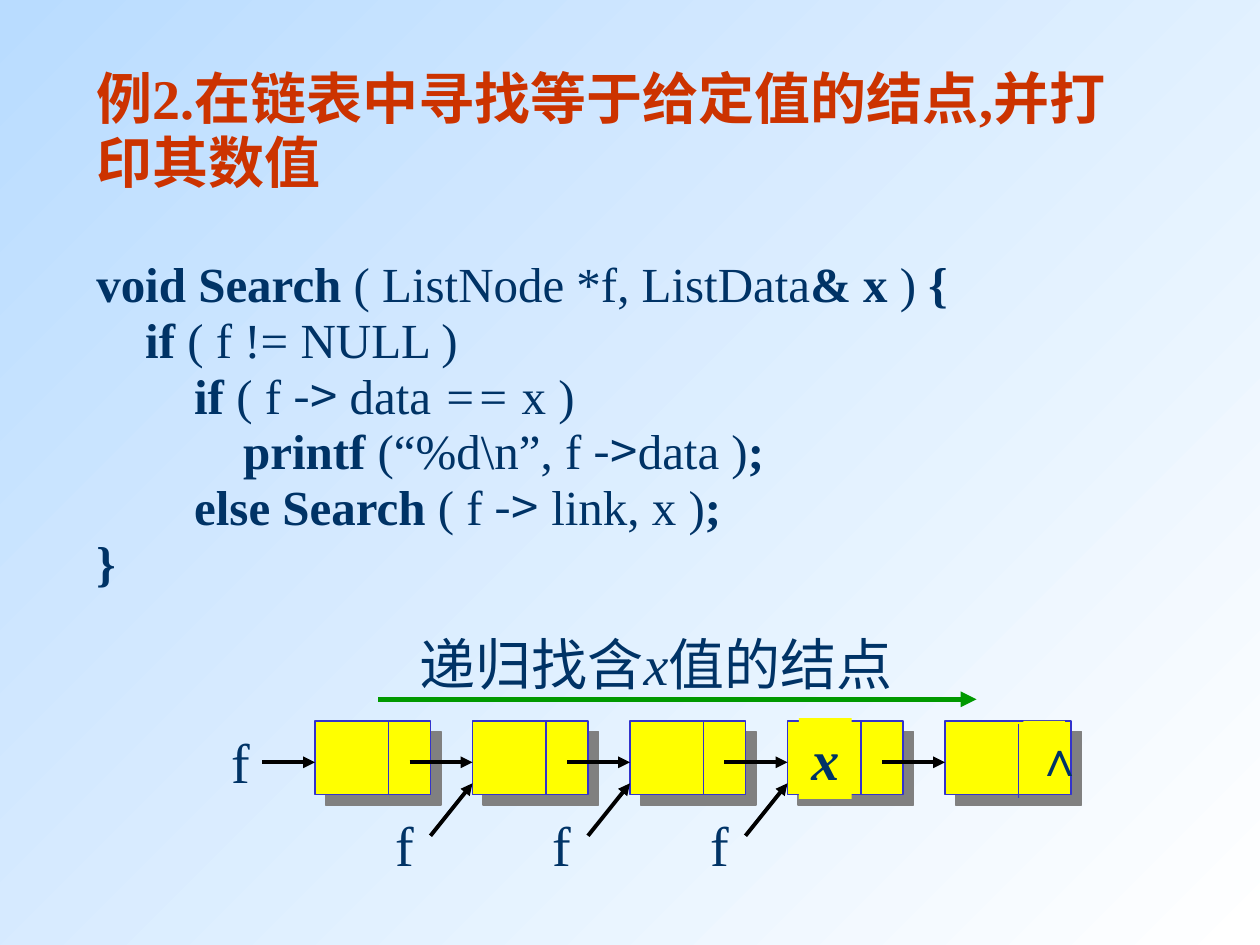
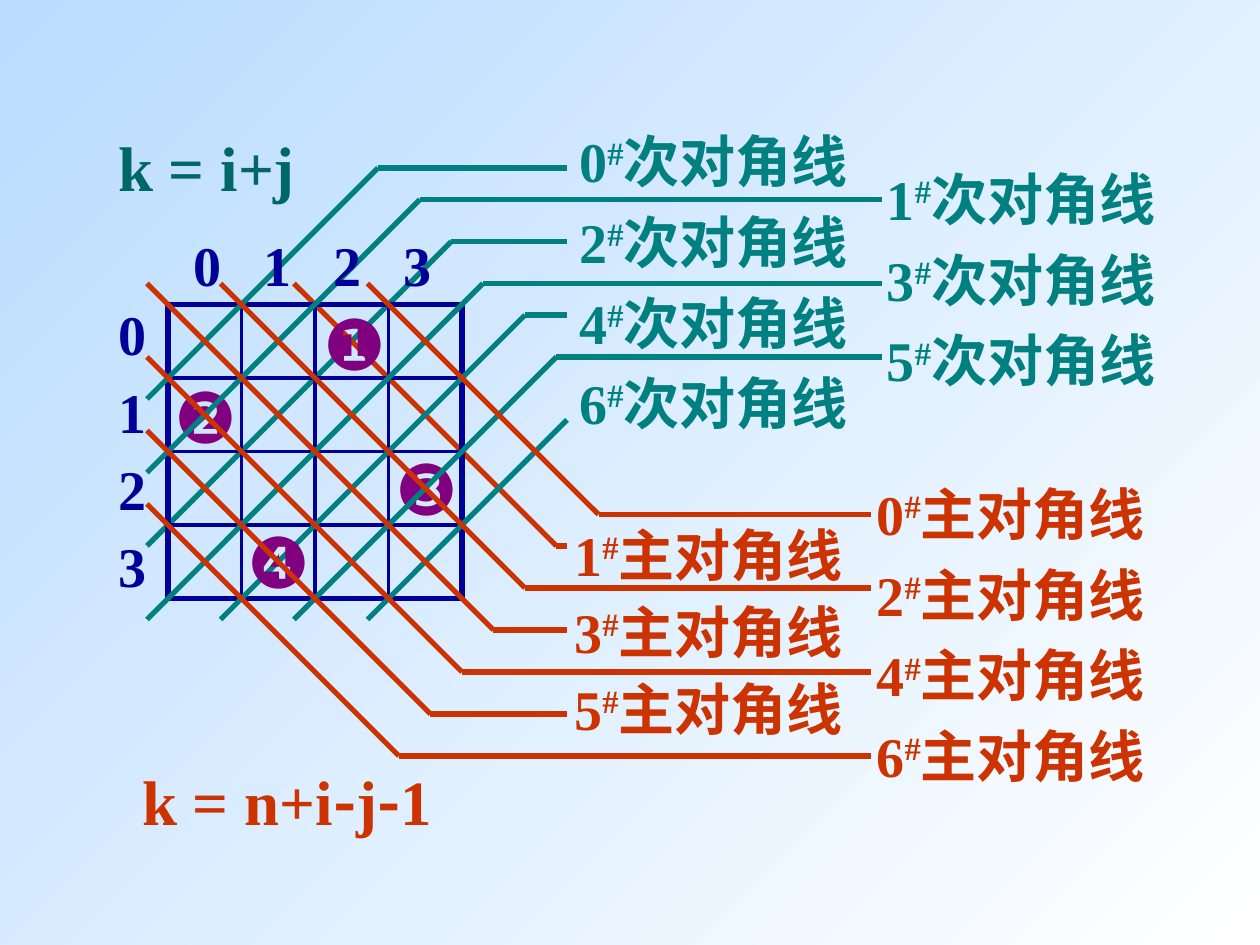
from lxml import etree
from pptx import Presentation, util as u
from pptx.dml import color
from pptx.enum import shapes, text
from pptx.oxml import ns

# Places are counted in twelfths of an inch: (left, top, width, height).
B, I, CJK = {"bold": True}, {"italic": True}, {"name": "Noto Sans CJK SC"}

HEAD = "例2.在链表中寻找等于给定值的结点,并打印其数值"
CODE = [
    [("void Search ", B), ("( ListNode *f, ListData", {}), ("& x", B), (" ) ", {}), ("{", B)],
    [("    if", B), (" ( f != NULL )", {})],
    [("        if", B), (" ( f ", {}), ("->", CJK), (" data ", {}), ("==", I), (" x )", {})],
    [("            printf ", B), ("(“%d\\n”, f ", {}), ("->", CJK), ("data )", {}), (";", B)],
    [("        else Search", B), (" ( f ", {}), ("->", CJK), (" link, x )", {}), (";", B)],
    [("}", B)],
]
GOAL = [("递归找含", {}), ("x", I), ("值的结点", {})]
NODES = [  # width, top of the divider
    (11, 68.67), (11, 68.67), (11, 68.67), (11, 68.67), (12, 69)]

SIZE = 4
QUEENS = [("❶", 29.64, 28), ("❷", 15.48, 35), ("❸", 36.48, 41.8), ("❹", 22.44, 48.8)]
FAMS = {  # bends: height at which line k turns level; ends: x for even, odd k
    "sec": {"word": "次对角线", "tint": "teal", "bends": [16, 19, 23, 27, 30, 34, 40],
            "ends": (54, 84), "slope": -1, "back": {2: 0, 4: 1},
            "lists": [((54, 10.2, 29.28, 31.92), 1.2), ((83.28, 13.8, 29.28, 24.24), 1.2)]},
    "main": {"word": "主对角线", "tint": "red", "bends": [49, 52, 56, 60, 64, 68, 72],
             "ends": (83, 54), "slope": 1, "back": {1: 0},
             "lists": [((82.32, 43.8, 29.28, 31.92), 1.2), ((53.52, 48, 29.28, 23.28), 1.15)]},
}
RULES = [
    ((10.08, 11.64, 19.2, 8.4), "pine", [("k = i+j", {})]),
    ((12.36, 72, 32.76, 8.4), "red",
     [("k = n+i", {}), ("-", CJK), ("j", {}), ("-", CJK), ("1", {})]),
]

THEME = {
    "tint": {"sky": "B9DCFF", "white": "FFFFFF", "red": "CC3300", "ink": "003366",
             "yellow": "FFFF00", "edge": "3333CC", "black": "000000", "green": "009900",
             "teal": "008080", "grid": "000099", "plum": "800080", "pine": "006666",
             "shade": "808080"},
    "size": {"code": 28, "text": 32, "rule": 36, "queen": 40},
    "face": "Times New Roman",
    "sign": "Arial",
}


def cm(n):
    """Turn twelfths of an inch into a length."""
    return u.Cm(n * 2.54 / 12)


def rgb(tint):
    return color.RGBColor.from_string(THEME["tint"][tint])


def page(deck):
    """Add a blank slide with the shared gradient."""
    slide = deck.slides.add_slide(deck.slide_layouts[6])
    fill = slide.background.fill
    fill.gradient()
    fill.gradient_angle = 315
    for stop, tint in zip(fill.gradient_stops, ("sky", "white")):
        stop.color.rgb = rgb(tint)
    return slide


def put(para, runs, tint="ink", size="text", **form):
    """Fill a paragraph with (text, format) runs over a base format."""
    base = {"name": THEME["face"], "size": u.Pt(THEME["size"][size]),
            "bold": False, "italic": False, **form}
    for words, extra in runs:
        run = para.add_run()
        run.text = words
        form = {**base, **extra}
        lift = form.pop("lift", None)
        for key, val in form.items():
            setattr(run.font, key, val)
        run.font.color.rgb = rgb(tint)
        props = run._r.get_or_add_rPr()
        if lift:
            props.set("baseline", str(lift * 1000))
        etree.SubElement(props, ns.qn("a:ea"), typeface=CJK["name"])


def label(slide, place, paras, gap=None, fill=None, **form):
    """Add a text box that fits its unwrapped text."""
    box = slide.shapes.add_textbox(*map(cm, place))
    frame = box.text_frame
    frame.word_wrap = False
    frame.auto_size = text.MSO_AUTO_SIZE.SHAPE_TO_FIT_TEXT
    if fill:
        box.fill.solid()
        box.fill.fore_color.rgb = rgb(fill)
    for n, runs in enumerate(paras):
        para = frame.add_paragraph() if n else frame.paragraphs[0]
        if gap:
            para.line_spacing = gap
        put(para, runs, **form)


def line(slide, start, end, tint, width, tip=False):
    if start == end:
        return
    link = slide.shapes.add_connector(
        shapes.MSO_CONNECTOR.STRAIGHT, *map(cm, (*start, *end)))
    link.line.color.rgb = rgb(tint)
    link.line.width = u.Pt(width)
    if tip:
        etree.SubElement(link.line._ln, ns.qn("a:tailEnd"), type="triangle")
    etree.SubElement(link._element.spPr, ns.qn("a:effectLst"))


def node(slide, x, y, wide, high):
    """Add a list node with a hard drop shadow."""
    box = slide.shapes.add_shape(shapes.MSO_SHAPE.RECTANGLE, *map(cm, (x, y, wide, high)))
    box.fill.solid()
    box.fill.fore_color.rgb = rgb("yellow")
    box.line.color.rgb = rgb("edge")
    box.line.width = u.Pt(0.75)
    box.shadow.inherit = False
    list_ = box._element.spPr.find(ns.qn("a:effectLst"))
    cast = etree.SubElement(list_, ns.qn("a:outerShdw"), dist=str(u.Pt(8.5)),
                            dir="2700000", algn="ctr", rotWithShape="0")
    etree.SubElement(cast, ns.qn("a:srgbClr"), val=THEME["tint"]["shade"])


def search(slide):
    """Draw the code and the linked list it walks through."""
    frame = slide.shapes.add_textbox(*map(cm, (8, 4, 101, 55))).text_frame
    frame.word_wrap = True
    frame.vertical_anchor = text.MSO_ANCHOR.MIDDLE
    head = frame.paragraphs[0]
    head.line_spacing = 0.95
    head.space_after = u.Pt(35)
    put(head, [(HEAD, B)], "red")
    for runs in CODE:
        para = frame.add_paragraph()
        para.line_spacing = 0.95
        put(para, runs, size="code")

    top, high, mid = 68.67, 7, 72.6
    label(slide, (20.88, top, 5.52, 7.68), [[("f", {})]])
    for n, (wide, cut) in enumerate(NODES):
        x = 30 + 15 * n
        node(slide, x, top, wide, high)
        line(slide, (x - (6 if n else 5), mid), (x, mid), "black", 2.25, True)
        if n == len(NODES) - 1:
            label(slide, (x + 7.48, top, 3.96, 6.84), [[("∧", B)]], fill="yellow",
                  size="code", name=THEME["sign"])
        elif n:
            line(slide, (x - 4, 79.6), (x, 74.6), "black", 2.25, True)
            label(slide, (x - 8.52, 76.56, 5.52, 7.68), [[("f", {})]])
        line(slide, (x + 7, cut), (x + 7, cut + high), "edge", 0.75)
    line(slide, (36, 66.6), (93, 66.6), "green", 3, True)
    label(slide, (38.76, 59.4, 50.04, 7.68), [GOAL])
    label(slide, (76.08, 68.4, 5.04, 7.68), [[("x", {**B, **I})]], fill="yellow")


def trace(slide, layer):
    """Draw the diagonals of one layer, each running on to its label."""
    last = SIZE - 1
    for fam in FAMS.values():
        for k, bend in enumerate(fam["bends"]):
            if fam["back"].get(k, 2) != layer:
                continue
            far, near = max(0, k - last), max(0, last - k)
            if fam["slope"] < 0:
                x, y = 14 + 7 * far, 59 - 7 * near
            else:
                x, y = 14 + 7 * near, 27 + 7 * far
            turn = (x + abs(bend - y), bend)
            line(slide, (x, y), turn, fam["tint"], 3)
            line(slide, turn, (fam["ends"][k % 2], bend), fam["tint"], 3)


def board(slide):
    """Draw the queens' board with its numbered diagonals."""
    left, top, cell = 16, 29, 7
    span = SIZE * cell
    trace(slide, 0)
    for n in range(SIZE + 1):
        width = 3 if n in (0, SIZE) else 2.25
        x, y = left + n * cell, top + n * cell
        line(slide, (left, y), (left + span, y), "grid", width)
        line(slide, (x, top), (x, top + span), "grid", width)
    trace(slide, 1)
    for sign, x, y in QUEENS:
        label(slide, (x, y, 8.4, 9.24), [[(sign, {})]], tint="plum",
              size="queen", name=THEME["sign"])
    trace(slide, 2)

    for fam in FAMS.values():
        for odd, (place, gap) in enumerate(fam["lists"]):
            paras = [[(str(k), {}), ("#", {"lift": 30}), (fam["word"], {})]
                     for k in range(odd, len(fam["bends"]), 2)]
            label(slide, place, paras, gap, tint=fam["tint"], **B)
    marks = [[(str(n), {})] for n in range(SIZE)]
    for n, mark in enumerate(marks):
        label(slide, (17.28 + 6.67 * n, 21.36, 5.04, 7.68), [mark], tint="grid", **B)
    label(slide, (10.08, 27, 5.04, 30.72), marks, 1.15, tint="grid", **B)
    for place, tint, runs in RULES:
        label(slide, place, [runs], tint=tint, size="rule", **B)


def main():
    deck = Presentation()
    deck.slide_width, deck.slide_height = u.Cm(25.4), u.Cm(19.05)
    for draw in (search, board):
        draw(page(deck))
    deck.save("out.pptx")


if __name__ == "__main__":
    main()
